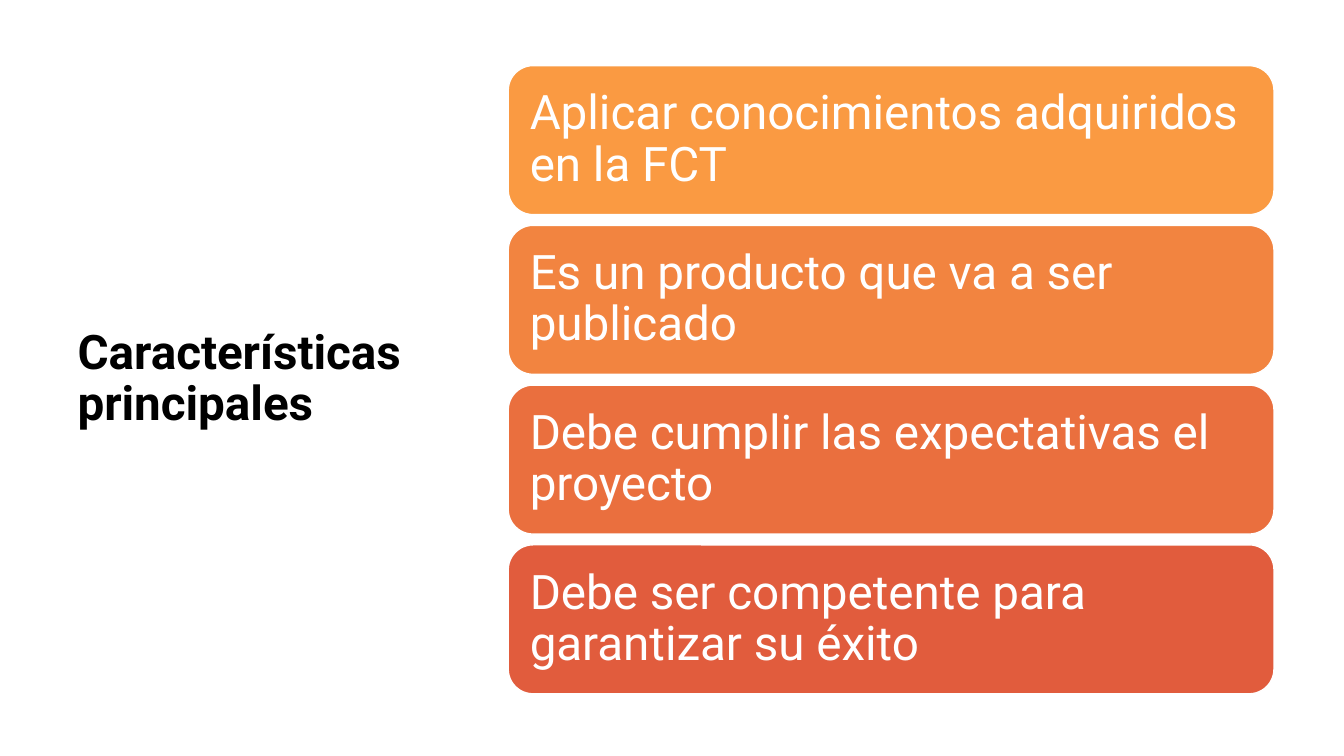
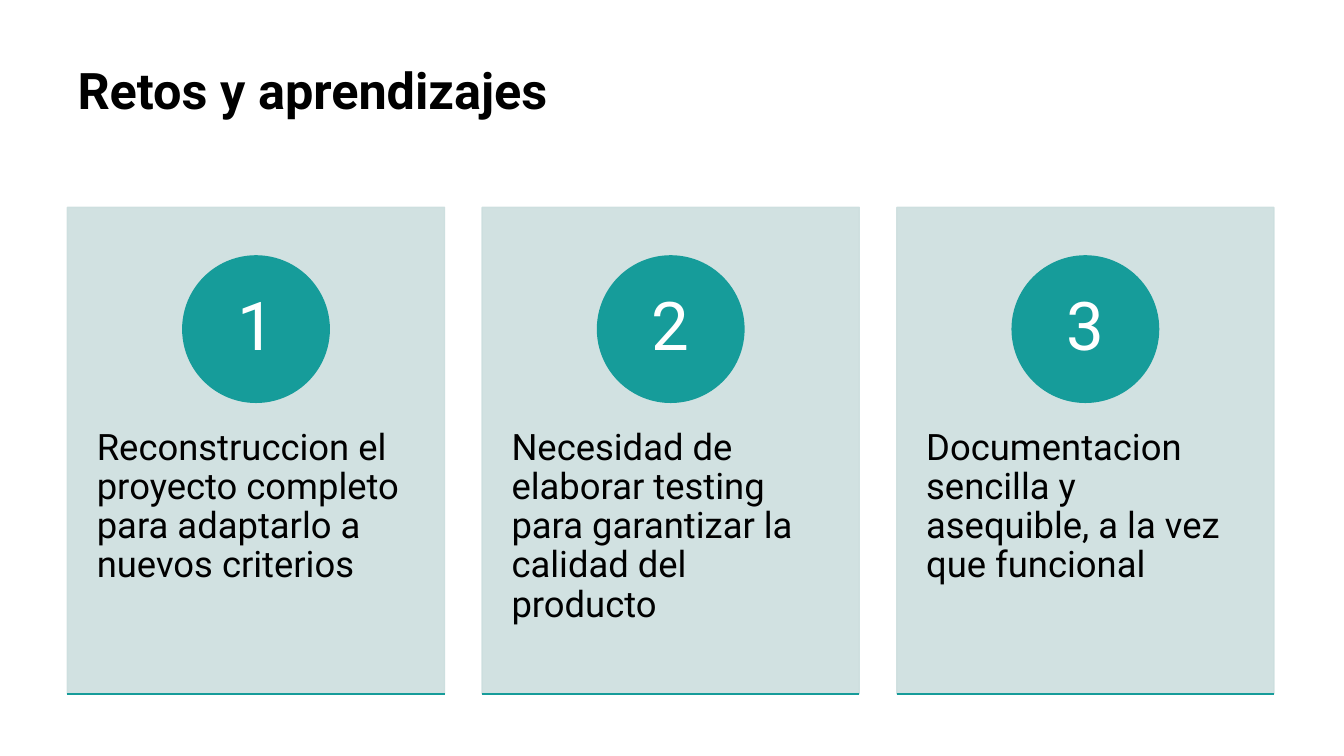
"""Build two slides: a stack of key features and a row of numbered challenges."""
from dataclasses import dataclass

from lxml import etree
from pptx import Presentation
from pptx.dml.color import RGBColor
from pptx.enum.shapes import MSO_CONNECTOR, MSO_SHAPE
from pptx.enum.text import MSO_ANCHOR, MSO_AUTO_SIZE, PP_ALIGN
from pptx.oxml.ns import qn
from pptx.presentation import Presentation as Deck
from pptx.shapes.autoshape import Shape
from pptx.slide import Slide
from pptx.util import Pt

ROUNDED, RECT, OVAL = MSO_SHAPE.ROUNDED_RECTANGLE, MSO_SHAPE.RECTANGLE, MSO_SHAPE.OVAL
STRAIGHT = MSO_CONNECTOR.STRAIGHT
TOP, MIDDLE = MSO_ANCHOR.TOP, MSO_ANCHOR.MIDDLE
LEFT, CENTER = PP_ALIGN.LEFT, PP_ALIGN.CENTER
NO_AUTOFIT = MSO_AUTO_SIZE.NONE
TITLE_ONLY = 5


@dataclass(frozen=True)
class Theme:
    """Colours, font and type sizes shared by the slides."""
    font: str = "Roboto"
    black: str = "000000"
    white: str = "FFFFFF"
    teal: str = "169C9A"
    card: str = "CCDEDE"
    card_alpha: int = 90
    line_spacing: float = 0.9
    title_side: float = 34
    title_top: float = 36
    bar: float = 34
    card_text: float = 26
    number: float = 48


@dataclass(frozen=True)
class Box:
    """A rectangle in points."""
    left: float
    top: float
    width: float
    height: float


@dataclass(frozen=True)
class TextStyle:
    """Type size, colour and placement of a text."""
    size: float
    color: str
    bold: bool = False
    align: PP_ALIGN = LEFT
    anchor: MSO_ANCHOR = MIDDLE
    insets: tuple[float, float, float, float] = (7.2, 3.6, 7.2, 3.6)


@dataclass(frozen=True)
class Bar:
    """A coloured bar with one feature."""
    text: str
    color: str


THEME = Theme()
MARGIN = 48.2
TITLE_TOP = 43.2
SIDE_TITLE = Box(MARGIN, TITLE_TOP, 275, 455.8)
TOP_TITLE = Box(MARGIN, TITLE_TOP, 861.8, 89.3)
FIRST_BAR = Box(363, 46.9, 547, 106.4)
BAR_GAP = 7.7
FIRST_CARD = Box(MARGIN, 148.2, 269.4, 347.4)
CARD_GAP = 26.8
CIRCLE = 104.6
CIRCLE_OFFSET = 34.6

BAR_STYLE = TextStyle(THEME.bar, THEME.white, insets=(10.2, 10.2, 10.2, 10.2))
CARD_STYLE = TextStyle(THEME.card_text, THEME.black, anchor=TOP, insets=(21, 158, 21, 26))
NUMBER_STYLE = TextStyle(THEME.number, THEME.white, align=CENTER, insets=(8, 0.9, 8, 0.9))

BARS = (
    Bar("Aplicar conocimientos adquiridos en la FCT", "FA9A42"),
    Bar("Es un producto que va a ser publicado", "F28440"),
    Bar("Debe cumplir las expectativas el proyecto", "EA6F3E"),
    Bar("Debe ser competente para garantizar su éxito", "E15C3D"),
)
CHALLENGES = (
    "Reconstruccion el proyecto completo para adaptarlo a nuevos criterios",
    "Necesidad de elaborar testing para garantizar la calidad del producto",
    "Documentacion sencilla y asequible, a la vez que funcional",
)


def rgb(color: str) -> RGBColor:
    """Turn a hex colour into an RGBColor."""
    return RGBColor.from_string(color)


def write(sp: Shape, text: str, style: TextStyle) -> None:
    """Put one styled paragraph into a shape."""
    tf = sp.text_frame
    tf.text = text
    tf.word_wrap = True
    tf.auto_size = NO_AUTOFIT
    tf.vertical_anchor = style.anchor
    tf.margin_left, tf.margin_top, tf.margin_right, tf.margin_bottom = map(Pt, style.insets)
    p = tf.paragraphs[0]
    p.alignment = style.align
    p.line_spacing = THEME.line_spacing
    font = p.runs[0].font
    font.name = THEME.font
    font.size = Pt(style.size)
    font.bold = style.bold
    font.color.rgb = rgb(style.color)


def add_titled_slide(prs: Deck, text: str, box: Box, style: TextStyle) -> Slide:
    """Add a slide and place its title."""
    s = prs.slides.add_slide(prs.slide_layouts[TITLE_ONLY])
    sp = s.shapes.title
    sp.left, sp.top = Pt(box.left), Pt(box.top)
    sp.width, sp.height = Pt(box.width), Pt(box.height)
    write(sp, text, style)
    return s


def add_block(s: Slide, kind: MSO_SHAPE, box: Box, fill: str, line: str,
              text: str, style: TextStyle) -> Shape:
    """Add a filled and outlined shape with text."""
    sp = s.shapes.add_shape(kind, Pt(box.left), Pt(box.top), Pt(box.width), Pt(box.height))
    sp.shadow.inherit = False
    sp.fill.solid()
    sp.fill.fore_color.rgb = rgb(fill)
    sp.line.color.rgb = rgb(line)
    sp.line.width = Pt(1)
    write(sp, text, style)
    return sp


def set_opacity(sp: Shape, percent: int) -> None:
    """Set the opacity of a shape's fill and outline."""
    for color in sp.element.spPr.iter(qn("a:srgbClr")):
        etree.SubElement(color, qn("a:alpha")).set("val", str(percent * 1000))


def add_rule(s: Slide, left: float, y: float, width: float) -> None:
    """Add a thin horizontal teal line."""
    rule = s.shapes.add_connector(STRAIGHT, Pt(left), Pt(y), Pt(left + width), Pt(y))
    rule.line.color.rgb = rgb(THEME.teal)
    rule.line.width = Pt(1)
    etree.SubElement(rule.element.spPr, qn("a:effectLst"))


def add_card(s: Slide, number: int, text: str) -> None:
    """Add a numbered card at its place in the row."""
    first = FIRST_CARD
    left = first.left + (number - 1) * (first.width + CARD_GAP)
    box = Box(left, first.top, first.width, first.height)
    sp = add_block(s, RECT, box, THEME.card, THEME.card, text, CARD_STYLE)
    set_opacity(sp, THEME.card_alpha)
    circle = Box(left + (first.width - CIRCLE) / 2, first.top + CIRCLE_OFFSET, CIRCLE, CIRCLE)
    add_block(s, OVAL, circle, THEME.teal, THEME.teal, str(number), NUMBER_STYLE)
    add_rule(s, left, first.top + first.height, first.width)


def build_features(prs: Deck) -> None:
    """Build the slide with the stacked feature bars."""
    style = TextStyle(THEME.title_side, THEME.black, bold=True)
    s = add_titled_slide(prs, "Características principales", SIDE_TITLE, style)
    first = FIRST_BAR
    for i, bar in enumerate(BARS):
        top = first.top + i * (first.height + BAR_GAP)
        box = Box(first.left, top, first.width, first.height)
        add_block(s, ROUNDED, box, bar.color, THEME.white, bar.text, BAR_STYLE)


def build_challenges(prs: Deck) -> None:
    """Build the slide with the numbered challenge cards."""
    style = TextStyle(THEME.title_top, THEME.black, bold=True, anchor=TOP)
    s = add_titled_slide(prs, "Retos y aprendizajes", TOP_TITLE, style)
    for number, text in enumerate(CHALLENGES, start=1):
        add_card(s, number, text)


def main() -> None:
    """Create and save the presentation."""
    prs = Presentation()
    prs.slide_width, prs.slide_height = Pt(960), Pt(540)
    build_features(prs)
    build_challenges(prs)
    prs.save("out.pptx")


if __name__ == "__main__":
    main()
